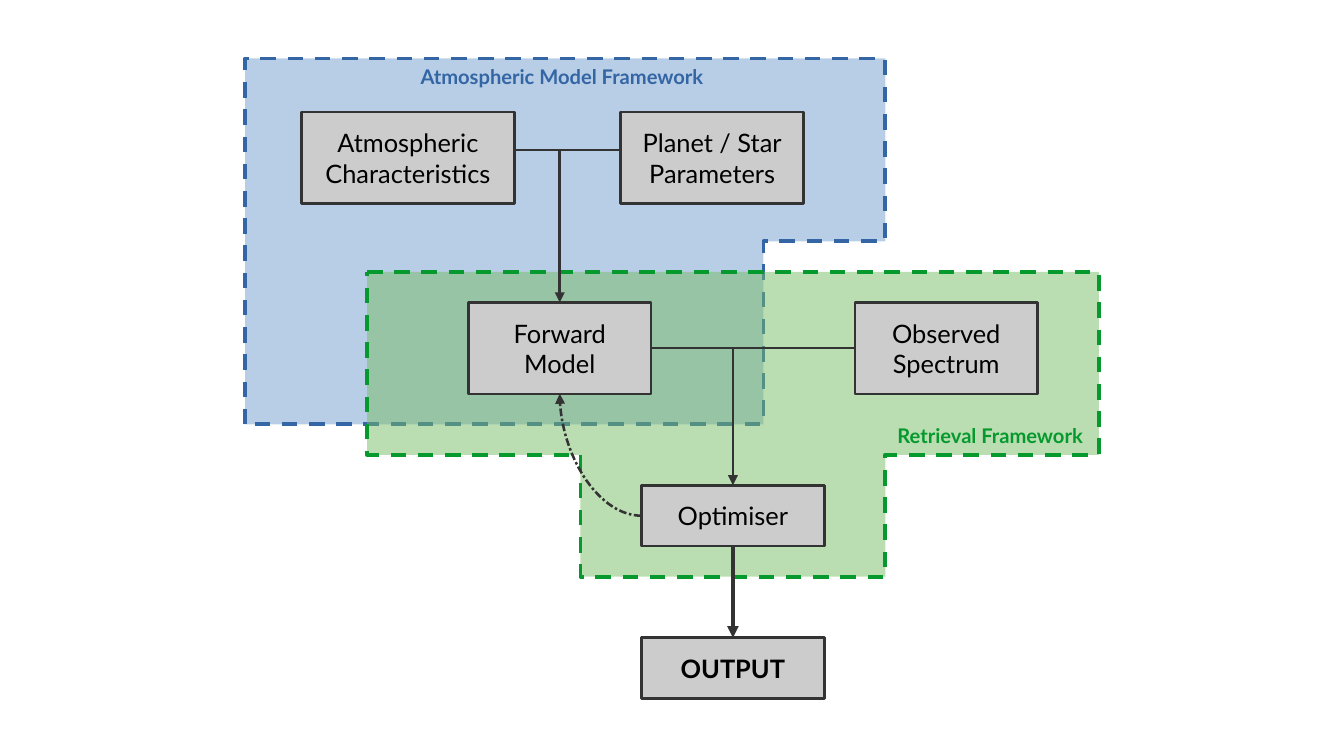
from lxml.etree import SubElement
from pptx import Presentation
from pptx.dml.color import RGBColor
from pptx.enum.dml import MSO_LINE
from pptx.enum.shapes import MSO_CONNECTOR, MSO_SHAPE
from pptx.enum.text import MSO_ANCHOR, PP_ALIGN
from pptx.oxml.ns import qn
from pptx.util import Pt

BLUE_FILL = RGBColor(0x72, 0x9F, 0xCF)
BLUE = RGBColor(0x34, 0x65, 0xA4)
GREEN_FILL = RGBColor(0x77, 0xBC, 0x65)
GREEN = RGBColor(0x06, 0x9A, 0x2E)
GREY = RGBColor(0xCC, 0xCC, 0xCC)
DARK = RGBColor(0x33, 0x33, 0x33)
BLACK = RGBColor(0x00, 0x00, 0x00)

# Content: all places and sizes are (column, row) in grid steps
STEP, LEFT, TOP = 18, 0.72, -1.44
MODEL_X, OPTIMISER_X = 18.32, 24
THIN, THICK = 1.5, 2.3

FRAMEWORKS = [  # corners, fill, outline
    ([(8, 14), (8, 2), (29, 2), (29, 8), (25, 8), (25, 14)], BLUE_FILL, BLUE),
    ([(12, 9), (36, 9), (36, 15), (29, 15), (29, 19), (19, 19), (19, 15), (12, 15)],
     GREEN_FILL, GREEN),
]
BOXES = [  # text, column, row, width, height, bold
    ("Atmospheric Characteristics", 9.84, 3.76, 7, 3, False),
    ("Planet / Star\nParameters", 20.32, 3.76, 6, 3, False),
    ("Forward\nModel", MODEL_X - 3, 10, 6, 3, False),
    ("Observed\nSpectrum", 28, 10, 6, 3, False),
    ("Optimiser", OPTIMISER_X - 3, 16, 6, 2, False),
    ("OUTPUT", OPTIMISER_X - 3, 21, 6, 2, True),
]
LABELS = [  # text, column, row, width, height, colour
    ("Atmospheric Model Framework", 13.36, 2, 10.24, 2.2, BLUE),
    ("Retrieval Framework", 29, 13.76, 7.04, 2.2, GREEN),
]
LINKS = [  # start, end, line width, arrow
    ((16.84, 5), (20.32, 5), THIN, False),
    ((MODEL_X, 5), (MODEL_X, 10), THIN, True),
    ((MODEL_X + 3, 11.5), (28, 11.5), THIN, False),
    ((OPTIMISER_X, 11.5), (OPTIMISER_X, 16), THIN, True),
    ((OPTIMISER_X, 18), (OPTIMISER_X, 21), THICK, True),
]
FEEDBACK = ((OPTIMISER_X - 3, 17), (MODEL_X, 13))

BOX_FRAME = {
    "word_wrap": True, "vertical_anchor": MSO_ANCHOR.MIDDLE,
    "margin_left": Pt(8), "margin_right": Pt(8),
    "margin_top": Pt(4.3), "margin_bottom": Pt(4.3),
}
LABEL_FRAME = {"word_wrap": True, "vertical_anchor": MSO_ANCHOR.TOP}


def place(column, row):
    return Pt(LEFT + column * STEP), Pt(TOP + row * STEP)


def area(column, row, width, height):
    return *place(column, row), Pt(width * STEP), Pt(height * STEP)


def set_values(target, values):
    for name, value in values.items():
        setattr(target, name, value)


def set_line(shape, color, width, dash=None):
    shape.line.color.rgb = color
    set_values(shape.line, {"width": Pt(width), "dash_style": dash})


def paint(shape, fill, line, width, dash=None):
    shape.shadow.inherit = False
    shape.fill.solid()
    shape.fill.fore_color.rgb = fill
    set_line(shape, line, width, dash)


def write(shape, text, frame, alignment, size, color, bold):
    set_values(shape.text_frame, frame)
    paragraph = shape.text_frame.paragraphs[0]
    paragraph.text = text
    paragraph.alignment = alignment
    for run in paragraph.runs:
        set_values(run.font, {"name": "Lato", "size": Pt(size), "bold": bold})
        run.font.color.rgb = color


def add_link(shapes, kind, start, end, width, arrow, dash=None):
    link = shapes.add_connector(kind, *place(*start), *place(*end))
    set_line(link, DARK, width, dash)
    if arrow:
        SubElement(link.line._get_or_add_ln(), qn("a:tailEnd"), type="triangle")
    SubElement(link._element.spPr, qn("a:effectLst"))
    return link


presentation = Presentation()
set_values(presentation, {"slide_width": Pt(793.44), "slide_height": Pt(446.4)})
slide = presentation.slides.add_slide(presentation.slide_layouts[6])
shapes = slide.shapes

# Overlapping half-transparent frameworks
for corners, fill, outline in FRAMEWORKS:
    points = [place(*corner) for corner in corners]
    builder = shapes.build_freeform(*points[0])
    builder.add_line_segments(points[1:], close=True)
    framework = builder.convert_to_shape()
    paint(framework, fill, outline, THICK, MSO_LINE.DASH)
    fill_color = framework._element.spPr.find(qn("a:solidFill"))[0]
    SubElement(fill_color, qn("a:alpha"), val="50000")

# Boxes
for text, column, row, width, height, bold in BOXES:
    box = shapes.add_shape(MSO_SHAPE.RECTANGLE, *area(column, row, width, height))
    paint(box, GREY, DARK, THIN)
    write(box, text, BOX_FRAME, PP_ALIGN.CENTER, 15, BLACK, bold)

# Framework names
for text, column, row, width, height, color in LABELS:
    label = shapes.add_textbox(*area(column, row, width, height))
    write(label, text, LABEL_FRAME, PP_ALIGN.LEFT, 11.9, color, True)

# Straight links, then the curved feedback arrow
for start, end, width, arrow in LINKS:
    add_link(shapes, MSO_CONNECTOR.STRAIGHT, start, end, width, arrow)
feedback = add_link(shapes, MSO_CONNECTOR.CURVE, *FEEDBACK, THIN, True)
feedback._element.spPr.find(qn("a:prstGeom")).set("prst", "curvedConnector2")
dash = SubElement(feedback.line._get_or_add_ln(), qn("a:prstDash"), val="sysDashDot")
feedback.line._get_or_add_ln().find(qn("a:tailEnd")).addprevious(dash)

presentation.save("out.pptx")
